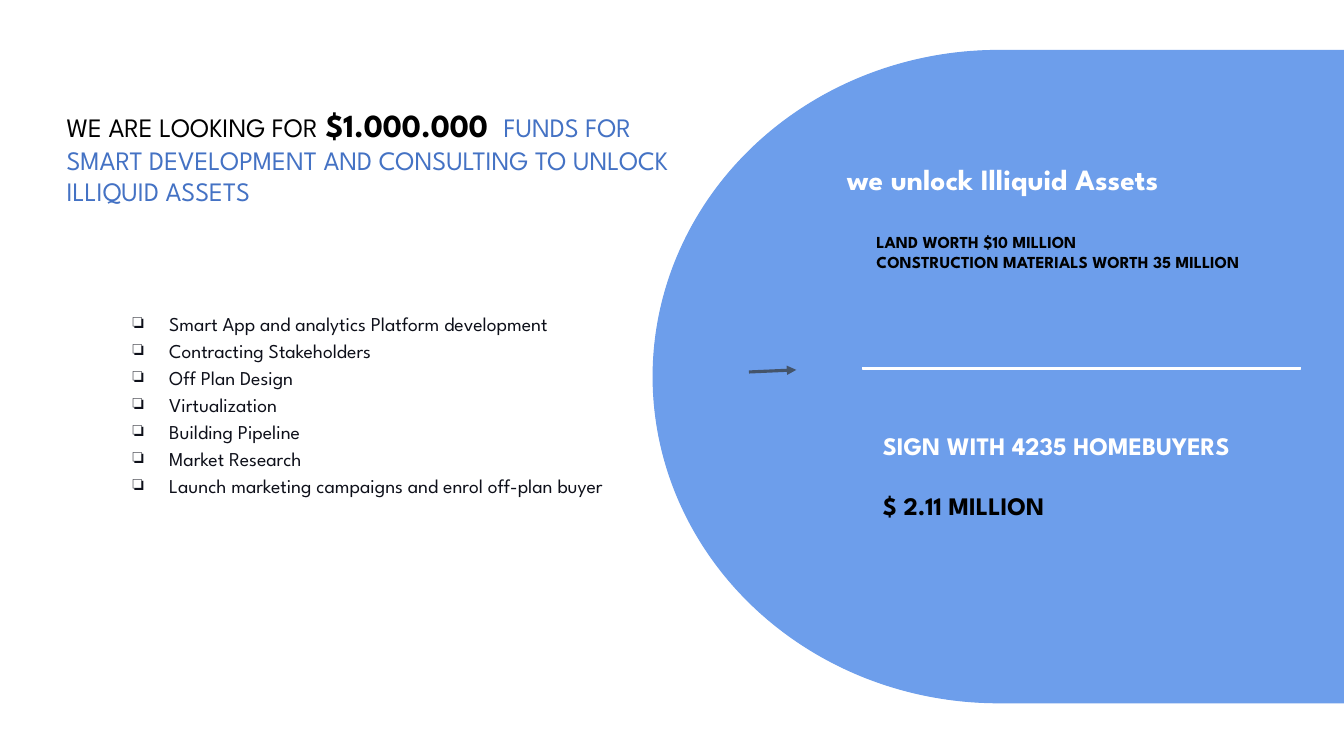
from dataclasses import dataclass

from lxml import etree
from pptx import Presentation
from pptx.dml.color import RGBColor
from pptx.enum.shapes import MSO_CONNECTOR, MSO_SHAPE
from pptx.enum.text import MSO_ANCHOR, MSO_AUTO_SIZE, PP_ALIGN
from pptx.oxml.ns import qn
from pptx.util import Pt

DELAY = MSO_SHAPE.FLOWCHART_DELAY
MINUS = MSO_SHAPE.MATH_MINUS
STRAIGHT = MSO_CONNECTOR.STRAIGHT
TOP = MSO_ANCHOR.TOP
LEFT = PP_ALIGN.LEFT
NO_FIT = MSO_AUTO_SIZE.NONE

FONT = "League Spartan"
INSET = 7.2
COLORS = {
    "panel": "6D9EEB",
    "divider": "E7E6E6",
    "white": "FFFFFF",
    "black": "000000",
    "accent": "4472C4",
    "ink": "0E101A",
    "arrow": "44546A",
}


@dataclass(frozen=True)
class Box:
    left: float
    top: float
    width: float
    height: float


@dataclass(frozen=True)
class Piece:
    text: str
    size: float
    color: str = "black"
    bold: bool = False


@dataclass(frozen=True)
class Line:
    text: str
    color: str
    space_before: float = 0


@dataclass(frozen=True)
class TextBlock:
    box: Box
    size: float
    bold: bool
    lines: tuple[Line, ...]
    bulleted: bool = False


@dataclass(frozen=True)
class Figure:
    box: Box
    preset: int
    fill: str
    outline: str
    rotation: float = 0
    adjustments: tuple[float, ...] = ()


FIGURES = (
    Figure(Box(466.5, 36, 493.5, 466), DELAY, "panel", "panel", rotation=180),
    Figure(Box(560, 260.5, 425.5, 5), MINUS, "divider", "white", adjustments=(0.24,)),
)

HEADING_BOX = Box(40.3, 67.7, 469.4, 88.5)
HEADING = (
    Piece("WE ARE LOOKING FOR", 19),
    Piece(" ", 21, bold=True),
    Piece("$1.000.000 ", 23, bold=True),
    Piece(" ", 19),
    Piece("FUNDS FOR SMART DEVELOPMENT AND CONSULTING TO UNLOCK ILLIQUID ASSETS", 19, "accent"),
)

FUND_USES = (
    "Smart App and analytics Platform development",
    "Contracting Stakeholders",
    "Off Plan Design",
    "Virtualization",
    "Building Pipeline",
    "Market Research",
    "Launch marketing campaigns and enrol off-plan buyer",
)

TEXT_BLOCKS = (
    TextBlock(Box(77.8, 213.1, 377.3, 207.4), 14, False,
              tuple(Line(use, "ink") for use in FUND_USES), bulleted=True),
    TextBlock(Box(598, 108, 301, 65.5), 21, True,
              (Line("we unlock Illiquid Assets", "white"),)),
    TextBlock(Box(623.5, 300.2, 320.4, 80), 18, True,
              (Line("SIGN WITH 4235 HOMEBUYERS", "white"),
               Line("$ 2.11 MILLION", "black", space_before=21.4))),
    TextBlock(Box(619, 158.4, 341, 44), 12, True,
              (Line("LAND WORTH $10 MILLION", "black"),
               Line("CONSTRUCTION MATERIALS WORTH 35 MILLION", "black"))),
)


def rgb(name: str) -> RGBColor:
    return RGBColor.from_string(COLORS[name])


def lengths(box: Box) -> tuple[Pt, ...]:
    return Pt(box.left), Pt(box.top), Pt(box.width), Pt(box.height)


def set_font(font, size: float, color: str, bold: bool) -> None:
    font.name = FONT
    font.size = Pt(size)
    font.bold = bold
    font.color.rgb = rgb(color)


def prepare_frame(frame) -> None:
    frame.word_wrap = True
    frame.auto_size = NO_FIT
    frame.vertical_anchor = TOP
    frame.margin_left = frame.margin_right = Pt(INSET)
    frame.margin_top = frame.margin_bottom = Pt(INSET)


def add_bullet(paragraph) -> None:
    properties = paragraph._p.get_or_add_pPr()
    properties.set("marL", str(Pt(36)))
    properties.set("indent", str(-Pt(26)))
    bullet_color = etree.SubElement(properties, qn("a:buClr"))
    etree.SubElement(bullet_color, qn("a:srgbClr"), val=COLORS["ink"])
    etree.SubElement(properties, qn("a:buChar"), char="❏")


def draw_figure(slide, figure: Figure) -> None:
    shape = slide.shapes.add_shape(figure.preset, *lengths(figure.box))
    shape.shadow.inherit = False
    shape.rotation = figure.rotation
    for index, value in enumerate(figure.adjustments):
        shape.adjustments[index] = value
    shape.fill.solid()
    shape.fill.fore_color.rgb = rgb(figure.fill)
    shape.line.color.rgb = rgb(figure.outline)
    shape.line.width = Pt(0.75)


def draw_heading(slide) -> None:
    title = slide.shapes.title
    title.left, title.top, title.width, title.height = lengths(HEADING_BOX)
    prepare_frame(title.text_frame)
    paragraph = title.text_frame.paragraphs[0]
    paragraph.alignment = LEFT
    for piece in HEADING:
        run = paragraph.add_run()
        run.text = piece.text
        set_font(run.font, piece.size, piece.color, piece.bold)


def draw_text(slide, block: TextBlock) -> None:
    frame = slide.shapes.add_textbox(*lengths(block.box)).text_frame
    prepare_frame(frame)
    for index, line in enumerate(block.lines):
        paragraph = frame.add_paragraph() if index else frame.paragraphs[0]
        paragraph.text = line.text
        if line.space_before:
            paragraph.space_before = Pt(line.space_before)
        if block.bulleted:
            paragraph.line_spacing = 1.15
            add_bullet(paragraph)
        set_font(paragraph.font, block.size, line.color, block.bold)


def draw_arrow(slide) -> None:
    arrow = slide.shapes.add_connector(STRAIGHT, Pt(535), Pt(265.7), Pt(568.8), Pt(264.2))
    arrow.line.color.rgb = rgb("arrow")
    arrow.line.width = Pt(2.25)
    etree.SubElement(arrow.line._get_or_add_ln(), qn("a:tailEnd"), type="triangle")
    etree.SubElement(arrow._element.spPr, qn("a:effectLst"))


def main() -> None:
    deck = Presentation()
    deck.slide_width, deck.slide_height = Pt(960), Pt(540)
    slide = deck.slides.add_slide(deck.slide_layouts[5])

    # Blue panel and its divider
    for figure in FIGURES:
        draw_figure(slide, figure)

    # Funding request, uses of funds and asset figures
    draw_heading(slide)
    for block in TEXT_BLOCKS:
        draw_text(slide, block)

    # Arrow leading to the divider
    draw_arrow(slide)

    deck.save("out.pptx")


if __name__ == "__main__":
    main()
